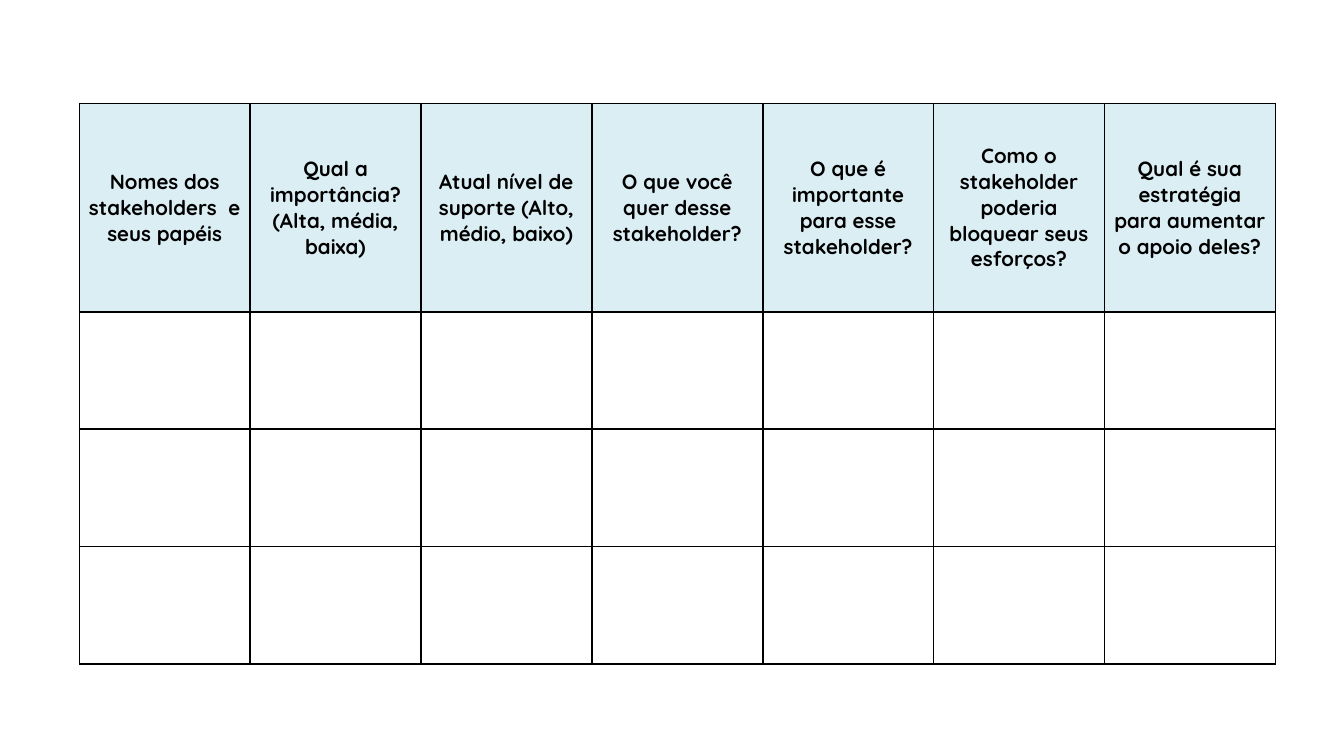
from lxml import etree
from pptx import Presentation
from pptx.dml.color import RGBColor
from pptx.enum import text
from pptx.oxml.ns import qn
from pptx.util import Inches, Pt

HEADINGS = [
    "Nomes dos stakeholders  e seus papéis",
    "Qual a importância? (Alta, média, baixa)",
    "Atual nível de suporte (Alto, médio, baixo)",
    "O que você quer desse stakeholder?",
    "O que é importante para esse stakeholder?",
    "Como o stakeholder poderia bloquear seus esforços?",
    "Qual é sua estratégia para aumentar o apoio deles?",
]
EMPTY_ROWS = 3
GRID_WIDTH, GRID_HEIGHT = Inches(8.9), Inches(4.17)
HEADING_HEIGHT = Inches(1.55)


def color(hex_string):
    return RGBColor.from_string(hex_string)


def add_borders(cell, hex_string, width):
    properties = cell._tc.get_or_add_tcPr()
    for side in ("lnL", "lnR", "lnT", "lnB"):
        line = etree.SubElement(properties, qn(f"a:{side}"), w=str(width))
        fill = etree.SubElement(line, qn("a:solidFill"))
        etree.SubElement(fill, qn("a:srgbClr"), val=hex_string)


# Widescreen 16:9 slide
prs = Presentation()
prs.slide_width = Inches(10)
prs.slide_height = prs.slide_width * 9 // 16
slide = prs.slides.add_slide(prs.slide_layouts[6])

# Stakeholder grid: equal columns, a tall heading row, equal empty rows
stakeholders = slide.shapes.add_table(
    1 + EMPTY_ROWS, len(HEADINGS), Inches(0.59), Inches(0.77),
    GRID_WIDTH, GRID_HEIGHT).table
for column in stakeholders.columns:
    column.width = GRID_WIDTH // len(HEADINGS)
for row in stakeholders.rows:
    row.height = (GRID_HEIGHT - HEADING_HEIGHT) // EMPTY_ROWS
stakeholders.rows[0].height = HEADING_HEIGHT

# Borders and empty cells
for cell in stakeholders.iter_cells():
    add_borders(cell, "000000", Pt(1))
    cell.fill.background()

# Heading row
for heading, cell in zip(HEADINGS, stakeholders.rows[0].cells):
    cell.fill.solid()
    cell.fill.fore_color.rgb = color("DBEEF4")
    cell.vertical_anchor = text.MSO_ANCHOR.MIDDLE
    cell.margin_left = cell.margin_right = Inches(0.07)
    cell.margin_top = cell.margin_bottom = Inches(0.03)
    cell.text_frame.text = heading
    paragraph = cell.text_frame.paragraphs[0]
    paragraph.alignment = text.PP_ALIGN.CENTER
    font = paragraph.runs[0].font
    font.name, font.size, font.bold = "Quicksand", Pt(11), True
    font.color.rgb = color("000000")

prs.save("out.pptx")
